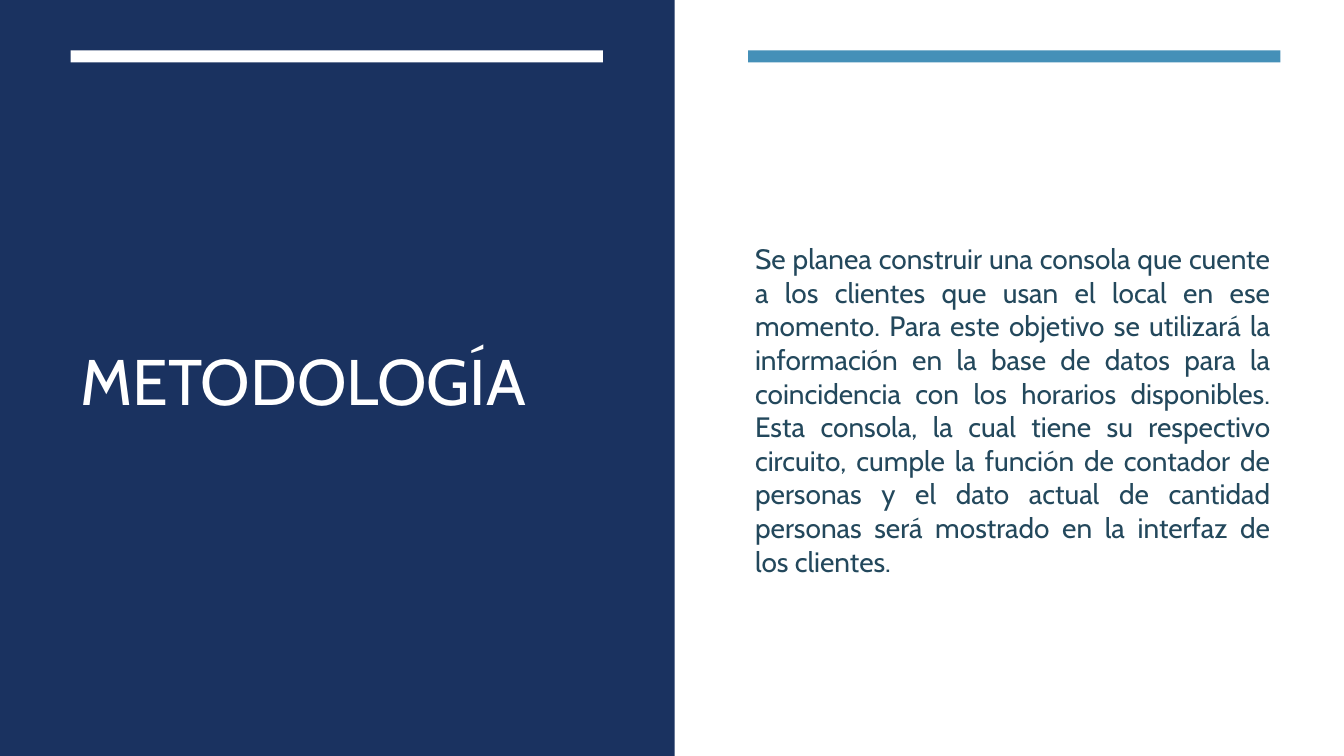
from pptx import Presentation
from pptx.dml.color import RGBColor
from pptx.enum.shapes import MSO_SHAPE
from pptx.enum.text import MSO_ANCHOR, PP_ALIGN as Align
from pptx.util import Inches, Pt

WIDTH, HEIGHT = 13.33, 7.5
SPLIT = 6.69
BAR_TOP, BAR_WIDTH, BAR_HEIGHT = 0.5, 5.28, 0.12
TEXT_TOP = 1.13
COLORS = {
    "paper": "FFFFFF",
    "navy": "1A3260",
    "blue": "4590B8",
    "slate": "23485C",
}
METHOD = (
    "Se planea construir una consola que cuente a los clientes que usan el local "
    "en ese momento. Para este objetivo se utilizará la información en la base de "
    "datos para la coincidencia con los horarios disponibles. Esta consola, la cual "
    "tiene su respectivo circuito, cumple la función de contador de personas y el "
    "dato actual de cantidad personas será mostrado en la interfaz de los clientes."
)


def add_block(slide, box, color):
    """Draw a plain filled rectangle in the given box."""
    block = slide.shapes.add_shape(MSO_SHAPE.RECTANGLE, *map(Inches, box))
    block.shadow.inherit = False
    block.fill.solid()
    block.fill.fore_color.rgb = RGBColor.from_string(COLORS[color])
    block.line.fill.background()


def add_text(slide, box, text, *, size, color, align=Align.LEFT, font="Cabin"):
    """Write one vertically centred paragraph in the given box."""
    frame = slide.shapes.add_textbox(*map(Inches, box)).text_frame
    frame.word_wrap = True
    frame.vertical_anchor = MSO_ANCHOR.MIDDLE
    paragraph = frame.paragraphs[0]
    paragraph.alignment = align
    run = paragraph.add_run()
    run.text = text
    run.font.name = font
    run.font.size = Pt(size)
    run.font.color.rgb = RGBColor.from_string(COLORS[color])


def title_panel(slide, left, top, width, height):
    """Build the dark half with its bar and the section title."""
    margin = left + 0.7
    add_block(slide, (left, top, width, height), "navy")
    add_block(slide, (margin, top + BAR_TOP, BAR_WIDTH, BAR_HEIGHT), "paper")
    add_text(slide, (margin, top + TEXT_TOP, BAR_WIDTH, BAR_WIDTH),
             "METODOLOGÍA", size=46, color="paper")


def method_panel(slide, left, top, width, height):
    """Build the light half with its bar and the justified description."""
    bar_left = left + 0.73
    text_left = left + 0.7
    text_width = bar_left + BAR_WIDTH - text_left
    add_block(slide, (bar_left, top + BAR_TOP, BAR_WIDTH, BAR_HEIGHT), "blue")
    add_text(slide, (text_left, top + TEXT_TOP, text_width, height - TEXT_TOP - 0.5),
             METHOD, size=20, color="slate", align=Align.JUSTIFY)


def main():
    """Create the methodology slide and save it."""
    deck = Presentation()
    deck.slide_width, deck.slide_height = Inches(WIDTH), Inches(HEIGHT)
    slide = deck.slides.add_slide(deck.slide_layouts[6])
    add_block(slide, (0, 0, WIDTH, HEIGHT), "paper")
    title_panel(slide, 0, 0, SPLIT, HEIGHT)
    method_panel(slide, SPLIT, 0, WIDTH - SPLIT, HEIGHT)
    deck.save("out.pptx")


if __name__ == "__main__":
    main()
